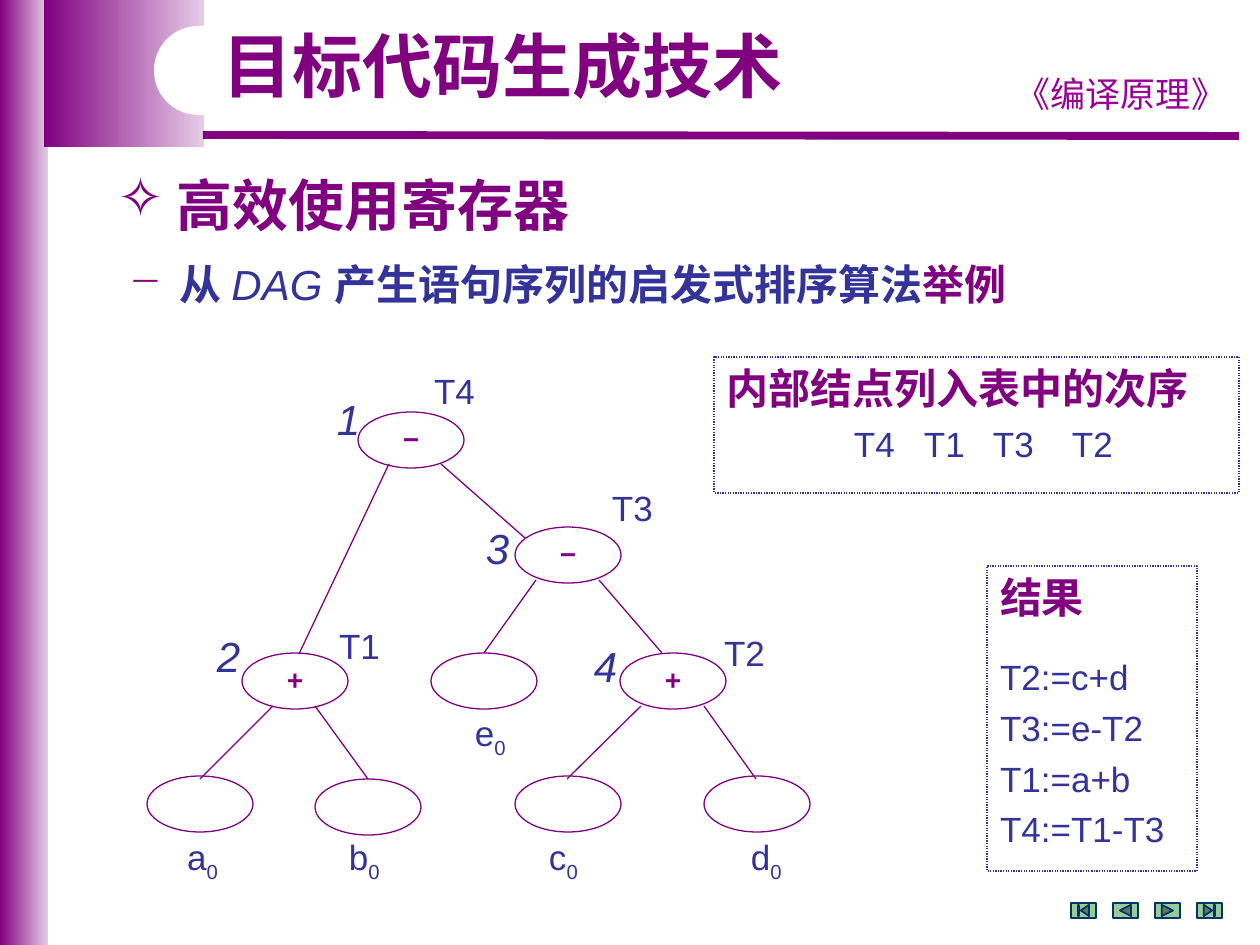
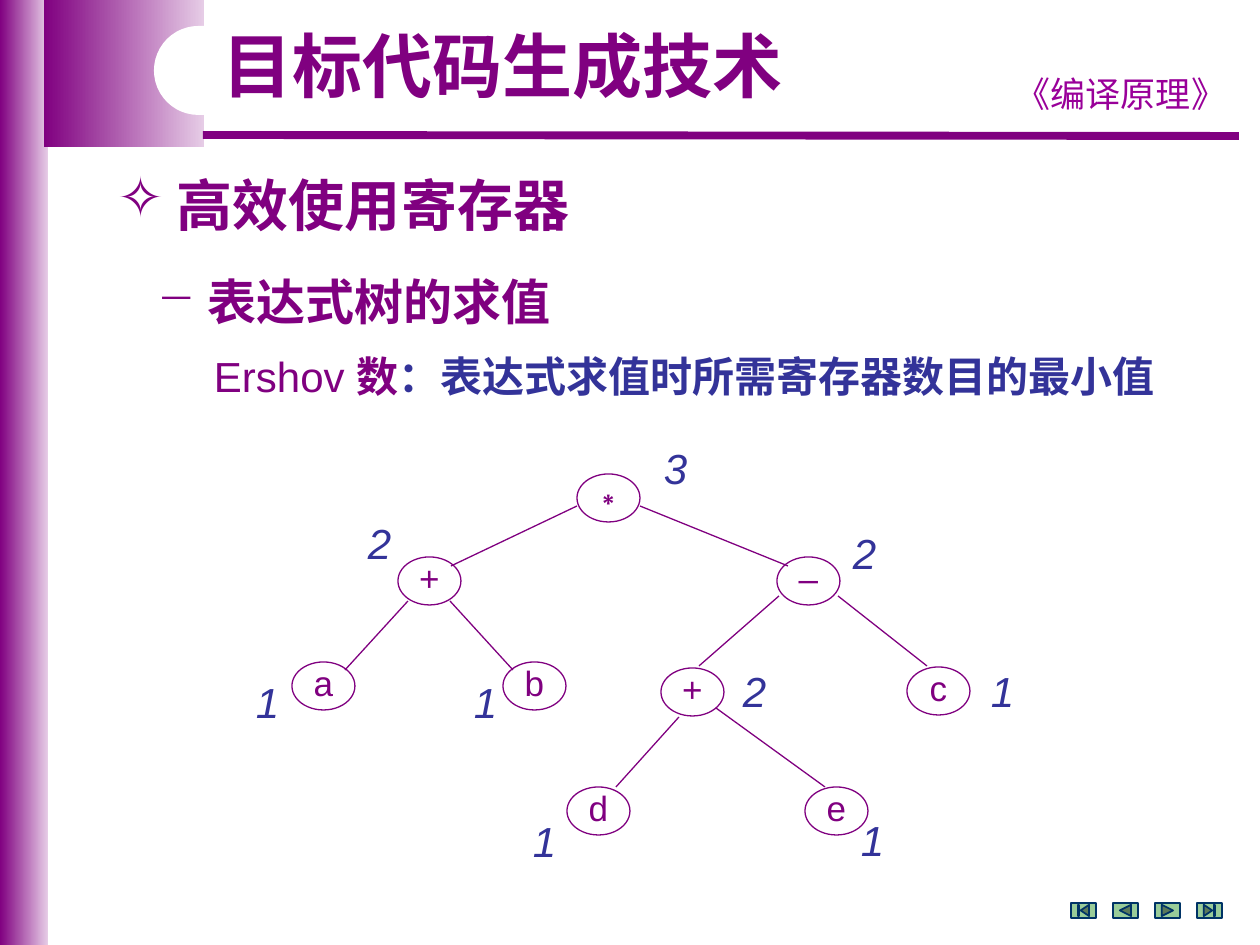
from lxml import etree
from pptx import Presentation, util as u
from pptx.dml.color import RGBColor
from pptx.enum import dml, shapes, text
from pptx.oxml.ns import qn

SCALE = u.Inches(1) / 126
COLORS = {"purple": "800080", "pale": "E6CCE6", "blue": "333399", "course": "990099",
          "white": "FFFFFF", "button": "99CC99", "button_line": "003366"}
SHAPE = shapes.MSO_SHAPE
ALIGN = text.PP_ALIGN
ANCHOR = text.MSO_ANCHOR

TITLE = "目标代码生成技术"
COURSE = "《编译原理》"
TOPIC = "高效使用寄存器"
BANDS = [(0, 0, 48, 945), (44, 0, 160, 147)]
BUTTONS = [SHAPE.ACTION_BUTTON_BEGINNING, SHAPE.ACTION_BUTTON_BACK_OR_PREVIOUS,
           SHAPE.ACTION_BUTTON_FORWARD_OR_NEXT, SHAPE.ACTION_BUTTON_END]

# Paragraphs are lists of runs; a run is (text, format)
PURPLE = {"color": "purple"}
ALGORITHM = [("从 ", {}), ("DAG ", {"bold": False, "italic": True}),
             ("产生语句序列的启发式排序算法", {}), ("举例", PURPLE)]
ERSHOV = [("Ershov ", {"color": "purple", "bold": False}), ("数", PURPLE),
          ("：表达式求值时所需寄存器数目的最小值", {})]
ORDER_HEADING = "内部结点列入表中的次序"
ORDER = "\tT4\tT1\tT3\tT2"
ORDER_TABS = [127, 197, 266, 345]
RESULT_HEADING = "结果"
RESULT = ["T2:=c+d", "T3:=e-T2", "T1:=a+b", "T4:=T1-T3"]

DAG = {
    "node_size": (106, 56),
    "nodes": [("−", 358, 412), ("−", 515, 527), ("+", 242, 653), ("", 431, 653),
              ("+", 620, 653), ("", 147, 776), ("", 315, 779), ("", 515, 776),
              ("", 704, 776)],
    "edges": [(389, 464, 299, 654), (441, 464, 525, 538), (536, 580, 484, 653),
              (599, 580, 662, 653), (273, 706, 200, 779), (315, 706, 368, 779),
              (641, 706, 567, 779), (704, 706, 756, 779)],
    "numbers": [("1", 324, 403), ("2", 204, 640), ("3", 473, 532), ("4", 581, 650)],
    "names": [("T4", 421, 378), ("T3", 599, 495), ("T1", 326, 633), ("T2", 711, 640)],
    "leaves": [("a", 174, 840), ("b", 336, 840), ("c", 536, 840), ("d", 738, 840),
               ("e", 462, 716)],
}
EXPRESSION = {
    "node_size": (63, 48),
    "nodes": [("∗", 577, 474), ("+", 398, 557), ("–", 777, 557), ("a", 292, 662),
              ("b", 503, 662), ("+", 661, 668), ("c", 907, 667), ("d", 567, 787),
              ("e", 805, 787)],
    "edges": [(577, 506, 451, 566), (640, 506, 788, 566), (408, 601, 345, 670),
              (450, 601, 513, 670), (779, 596, 699, 666), (838, 596, 927, 666),
              (679, 717, 616, 787), (716, 708, 825, 787)],
    "numbers": [("3", 651, 452), ("2", 355, 527), ("2", 840, 537), ("1", 243, 686),
                ("1", 461, 686), ("2", 730, 675), ("1", 978, 675), ("1", 520, 825),
                ("1", 848, 824)],
    "names": [],
    "leaves": [],
}


def px(length):
    return u.Emu(round(length * SCALE))


def rgb(name):
    return RGBColor.from_string(COLORS[name])


def setup_frame(shape, inset=(13, 6), anchor=ANCHOR.TOP, wrap=True):
    frame = shape.text_frame
    frame.auto_size = text.MSO_AUTO_SIZE.NONE
    frame.word_wrap = wrap
    frame.vertical_anchor = anchor
    frame.margin_left = frame.margin_right = px(inset[0])
    frame.margin_top = frame.margin_bottom = px(inset[1])


def write(shape, runs, size=20, color="blue", bold=False, italic=False, font="Arial",
          align=ALIGN.LEFT, spacing=1.0, before=0, bullet=None, indent=0, tabs=()):
    """Fill the empty first paragraph of a shape, or add one; runs is a string or a list."""
    frame = shape.text_frame
    paragraph = frame.paragraphs[0] if not frame.text else frame.add_paragraph()
    paragraph.alignment = align
    paragraph.line_spacing = spacing
    paragraph.space_before = u.Pt(before)
    properties = paragraph._p.get_or_add_pPr()
    if indent:
        properties.set("marL", str(px(indent)))
        properties.set("indent", str(-px(indent) if bullet else 0))
    if bullet:
        bullet_color = etree.SubElement(properties, qn("a:buClr"))
        etree.SubElement(bullet_color, qn("a:srgbClr"), val=COLORS["purple"])
        etree.SubElement(properties, qn("a:buChar"), char=bullet)
    if tabs:
        tab_list = etree.SubElement(properties, qn("a:tabLst"))
        for position in tabs:
            etree.SubElement(tab_list, qn("a:tab"), pos=str(px(position)), algn="l")
    base = {"color": color, "bold": bold, "italic": italic}
    for content, changes in [(runs, {})] if isinstance(runs, str) else runs:
        style = base | changes
        run = paragraph.add_run()
        run.text = content
        run.font.name, run.font.size = font, u.Pt(size)
        run.font.bold, run.font.italic = style["bold"], style["italic"]
        run.font.color.rgb = rgb(style["color"])
        if "baseline" in style:
            run._r.get_or_add_rPr().set("baseline", style["baseline"])


def add_box(slide, box, **frame_format):
    shape = slide.shapes.add_textbox(*map(px, box))
    setup_frame(shape, **frame_format)
    return shape


def add_shape(slide, kind, box, fill=None, line=None, width=0.75):
    shape = slide.shapes.add_shape(kind, *map(px, box))
    shape.shadow.inherit = False
    if fill:
        shape.fill.solid()
        shape.fill.fore_color.rgb = rgb(fill)
    else:
        shape.fill.background()
    if line:
        shape.line.color.rgb = rgb(line)
        shape.line.width = u.Pt(width)
    else:
        shape.line.fill.background()
    return shape


def add_line(slide, ends, width=0.75):
    line = slide.shapes.add_connector(shapes.MSO_CONNECTOR.STRAIGHT, *map(px, ends))
    line.line.color.rgb = rgb("purple")
    line.line.width = u.Pt(width)
    etree.SubElement(line.element.spPr, qn("a:effectLst"))
    return line


def add_dotted_box(slide, box):
    shape = add_shape(slide, SHAPE.RECTANGLE, box, line="blue")
    shape.line.dash_style = dml.MSO_LINE.ROUND_DOT
    setup_frame(shape)
    return shape


def draw_frame(slide, layout):
    """Draw the shared bands, rule, course name and buttons, and move them to the layout."""
    parts = []
    for box in BANDS:
        band = add_shape(slide, SHAPE.RECTANGLE, box)
        band.fill.gradient()
        band.fill.gradient_angle = 0
        for stop, color, position in zip(band.fill.gradient_stops, ("purple", "pale"), (0, 1)):
            stop.color.rgb = rgb(color)
            stop.position = position
        parts.append(band)
    parts.append(add_line(slide, (203, 135, 1239, 136), 4.5))
    course = add_box(slide, (997, 66, 248, 54))
    write(course, COURSE, color="course", font="Comic Neue", align=ALIGN.CENTER)
    notch = add_shape(slide, SHAPE.ROUNDED_RECTANGLE, (154, 26, 456, 89), "white")
    notch.adjustments[0] = 0.5
    parts += [course, notch]
    for index, kind in enumerate(BUTTONS):
        box = (1071 + 42 * index, 903, 25, 15)
        parts.append(add_shape(slide, kind, box, "button", "button_line", 1))
    for placeholder in list(layout.placeholders):
        if placeholder.placeholder_format.idx:
            layout.shapes.element.remove(placeholder.element)
    for part in parts:
        layout.shapes.element.append(part.element)


def add_headings(slide):
    title = slide.shapes.title
    title.left, title.top, title.width, title.height = map(px, (210, 26, 599, 88))
    setup_frame(title)
    write(title, TITLE, size=40, color="purple", bold=True, spacing=0.9)
    topic = add_box(slide, (105, 165, 515, 81))
    write(topic, TOPIC, size=32, color="purple", bold=True, bullet="✧", indent=59)


def draw_tree(slide, tree, fill=None, inset=(0, 0), anchor=ANCHOR.MIDDLE, **label_format):
    for label, left, top in tree["nodes"]:
        box = (left, top, *tree["node_size"])
        node = add_shape(slide, SHAPE.OVAL, box, fill, "purple")
        if label:
            setup_frame(node, inset=inset, anchor=anchor)
            write(node, label, color="purple", align=ALIGN.CENTER, **label_format)
    for ends in tree["edges"]:
        add_line(slide, ends)
    for number, left, top in tree["numbers"]:
        box = add_box(slide, (left, top, 49, 40), inset=(13, 0))
        write(box, number, size=24, italic=True, spacing=0.8)
    for name, left, top in tree["names"]:
        box = add_box(slide, (left, top, 67, 34), inset=(13, 0), wrap=False)
        write(box, name, spacing=0.8)
    for leaf, left, top in tree["leaves"]:
        box = add_box(slide, (left, top, 57, 34), inset=(13, 0), wrap=False)
        write(box, [(leaf, {}), ("0", {"baseline": "-25000"})], spacing=0.8)


def build_dag_slide(slide):
    add_headings(slide)
    algorithm = add_box(slide, (116, 252, 1124, 72))
    write(algorithm, ALGORITHM, size=24, bold=True, bullet="−", indent=51)
    draw_tree(slide, DAG, "white", inset=(8, 1), anchor=ANCHOR.TOP,
              size=16, bold=True)
    order = add_dotted_box(slide, (714, 357, 525, 136))
    write(order, ORDER_HEADING, size=24, color="purple", bold=True)
    write(order, ORDER, before=5, tabs=ORDER_TABS)
    result = add_dotted_box(slide, (987, 566, 210, 305))
    write(result, RESULT_HEADING, size=24, color="purple", bold=True)
    for index, statement in enumerate(RESULT):
        write(result, statement, before=5 if index else 19)


def build_expression_slide(slide):
    add_headings(slide)
    definition = add_box(slide, (144, 265, 1072, 144))
    write(definition, "表达式树的求值", size=28, color="purple", bold=True,
          bullet="−", indent=51)
    write(definition, ERSHOV, size=24, bold=True, before=12, indent=57)
    draw_tree(slide, EXPRESSION, spacing=0.8)


def main():
    presentation = Presentation()
    presentation.slide_width, presentation.slide_height = u.Inches(10), u.Inches(7.5)
    layout = presentation.slide_layouts[5]
    for number, build in enumerate((build_dag_slide, build_expression_slide)):
        slide = presentation.slides.add_slide(layout)
        if number == 0:
            draw_frame(slide, layout)
        build(slide)
    presentation.save("out.pptx")


if __name__ == "__main__":
    main()
